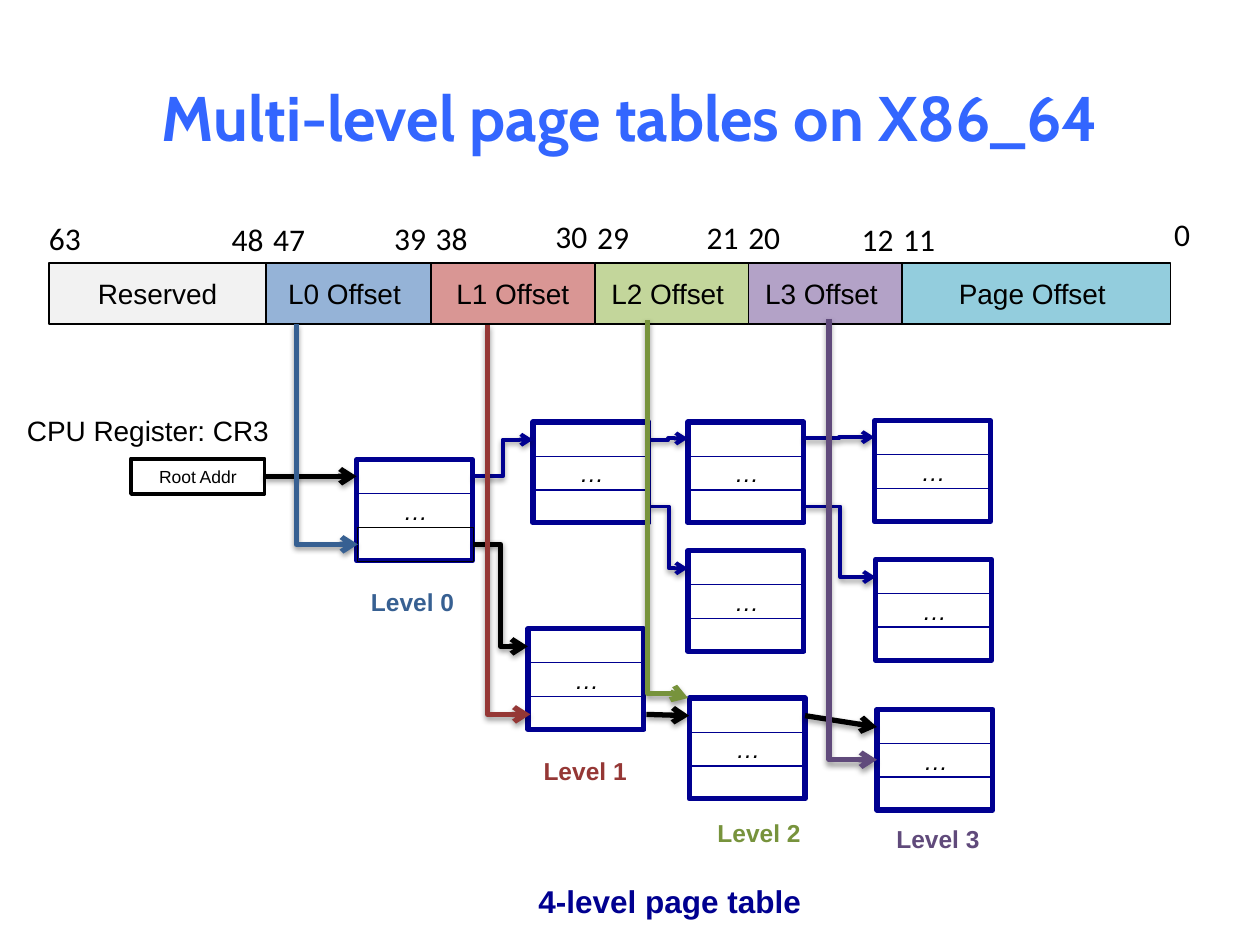
"""Draw the four-level page table slide, with lengths in px at 100 px to the inch."""
from dataclasses import dataclass
from itertools import accumulate

from lxml.etree import SubElement as Sub
from pptx import Presentation
from pptx.dml.color import RGBColor as Color
from pptx.enum.shapes import MSO_CONNECTOR as Kind, MSO_SHAPE as Form
from pptx.enum.text import MSO_ANCHOR as Anchor, PP_ALIGN as Align
from pptx.oxml.ns import qn
from pptx.util import Pt

SCALE = 9144
BLACK = Color(0x00, 0x00, 0x00)
NAVY = Color(0x00, 0x00, 0x90)
TITLE = Color(0x33, 0x66, 0xFF)
BLUE = Color(0x37, 0x60, 0x92)
RED = Color(0x95, 0x37, 0x35)
GREEN = Color(0x77, 0x93, 0x3C)
PURPLE = Color(0x60, 0x4A, 0x7B)
GREY_FILL = Color(0xF2, 0xF2, 0xF2)
BLUE_FILL = Color(0x95, 0xB3, 0xD7)
RED_FILL = Color(0xD9, 0x96, 0x94)
GREEN_FILL = Color(0xC3, 0xD6, 0x9B)
PURPLE_FILL = Color(0xB3, 0xA2, 0xC7)
TEAL_FILL = Color(0x93, 0xCD, 0xDD)


@dataclass(frozen=True)
class Font:
    size: int
    color: Color = BLACK
    name: str = "Arial"
    bold: bool = False
    slant: bool = False


@dataclass(frozen=True)
class Label:
    text: str
    x: int
    y: int
    w: int
    h: int
    font: Font
    align: Align = Align.CENTER
    wrap: bool = False
    anchor: Anchor = Anchor.TOP


@dataclass(frozen=True)
class Field:
    text: str
    width: int
    fill: Color


@dataclass(frozen=True)
class Table:
    x: int
    y: int
    last: Color = NAVY


@dataclass(frozen=True)
class Link:
    x1: int
    y1: int
    x2: int
    y2: int
    color: Color = BLACK
    width: float = 3
    kind: Kind = Kind.ELBOW


@dataclass(frozen=True)
class Drop:
    x1: int
    y1: int
    x2: int
    y2: int
    color: Color
    bend: int = 0


BIT = Font(18, name="Calibri")
DOTS = Font(14, slant=True)
BITS = [("63", 29, 169), ("0", 922, 166), ("48", 174, 170), ("47", 207, 170),
        ("39", 303, 169), ("38", 336, 169), ("30", 431, 167), ("29", 464, 168),
        ("21", 551, 168), ("20", 584, 168), ("12", 674, 170), ("11", 707, 170)]
LEVELS = [(284, 461, BLUE), (421, 595, RED), (559, 644, GREEN), (701, 649, PURPLE)]
LABELS = [
    Label("Multi-level page tables on X86_64", 50, 30, 900, 125,
          Font(36, TITLE, "Cabin", True), wrap=True, anchor=Anchor.MIDDLE),
    Label("CPU Register: CR3", 10, 323, 215, 37, Font(16)),
    Label("4-level page table", 416, 695, 231, 40, Font(18, NAVY, bold=True)),
    *(Label(text, x, y, 51, 40, BIT, Align.LEFT, True) for text, x, y in BITS),
    *(Label(f"Level {i}", x, y, 87, 34, Font(14, color, bold=True))
      for i, (x, y, color) in enumerate(LEVELS)),
]
FIELDS = [Field("Reserved", 172, GREY_FILL), Field("L0 Offset ", 131, BLUE_FILL),
          Field("L1 Offset", 130, RED_FILL), Field("L2 Offset ", 122, GREEN_FILL),
          Field("L3 Offset ", 122, PURPLE_FILL), Field("Page Offset ", 213, TEAL_FILL)]
TABLES = [Table(283, 365, BLACK), Table(423, 335), Table(419, 499), Table(546, 335),
          Table(546, 437), Table(547, 554), Table(694, 334), Table(695, 444),
          Table(696, 563)]
LINKS = [
    Link(375, 378, 423, 349, NAVY, 2.25), Link(376, 432, 419, 513),
    Link(515, 349, 546, 348, NAVY, 2.25), Link(516, 402, 546, 451, NAVY, 2.25),
    Link(638, 348, 694, 347, NAVY, 2.25), Link(639, 402, 695, 458, NAVY, 2.25),
    Link(513, 567, 547, 568, kind=Kind.STRAIGHT),
    Link(639, 568, 696, 577, kind=Kind.STRAIGHT),
    Link(210, 378, 283, 378, kind=Kind.STRAIGHT),
]
DROPS = [Drop(235, 257, 284, 432, BLUE), Drop(387, 258, 421, 567, RED),
         Drop(514, 254, 546, 554, GREEN, 98800), Drop(658, 253, 696, 603, PURPLE)]


def px(*sizes: float) -> list[int]:
    return [round(size * SCALE) for size in sizes]


def write(frame, text: str, font: Font, align: Align = Align.CENTER) -> None:
    frame.text = text
    para = frame.paragraphs[0]
    para.alignment = align
    face = para.runs[0].font
    face.size, face.name = Pt(font.size), font.name
    face.bold, face.italic = font.bold, font.slant
    face.color.rgb = font.color


def put_label(shapes, label: Label) -> None:
    frame = shapes.add_textbox(*px(label.x, label.y, label.w, label.h)).text_frame
    frame.word_wrap = label.wrap
    frame.vertical_anchor = label.anchor
    write(frame, label.text, label.font, label.align)


def put_box(shapes, x: float, y: float, w: int, h: int, line: Color, width: float,
            fill: Color | None = None, text: str = "", font: Font = DOTS) -> None:
    box = shapes.add_shape(Form.RECTANGLE, *px(x, y, w, h))
    box.shadow.inherit = False
    box.line.color.rgb, box.line.width = line, Pt(width)
    if fill is None:
        box.fill.background()
    else:
        box.fill.solid()
        box.fill.fore_color.rgb = fill
    if text:
        box.text_frame.vertical_anchor = Anchor.MIDDLE
        write(box.text_frame, text, font)


def put_table(shapes, table: Table) -> None:
    x, y = table.x, table.y
    put_box(shapes, x, y, 92, 80, NAVY, 3)
    put_box(shapes, x, y, 92, 27, NAVY, 0.5)
    put_box(shapes, x + 1, y + 27, 92, 27, NAVY, 0.5, text="…")
    put_box(shapes, x + 1, y + 53.5, 92, 27, table.last, 0.5)


def put_link(shapes, link: Link):
    wire = shapes.add_connector(link.kind, *px(link.x1, link.y1, link.x2, link.y2))
    wire.line.color.rgb, wire.line.width = link.color, Pt(link.width)
    props = wire._element.spPr
    Sub(props.find(qn("a:ln")), qn("a:tailEnd"), type="arrow")
    shade = Sub(Sub(props, qn("a:effectLst")), qn("a:outerShdw"), blurRad="40000",
                dist="20000", dir="5400000", rotWithShape="0")
    Sub(Sub(shade, qn("a:srgbClr"), val="000000"), qn("a:alpha"), val="38000")
    return props


def put_drop(shapes, drop: Drop) -> None:
    mid_x, mid_y = (drop.x1 + drop.x2) / 2, (drop.y1 + drop.y2) / 2
    half_w, half_h = (drop.y2 - drop.y1) / 2, (drop.x2 - drop.x1) / 2
    props = put_link(shapes, Link(mid_x + half_w, mid_y - half_h, mid_x - half_w,
                                  mid_y + half_h, drop.color))
    props.find(qn("a:xfrm")).set("rot", "16200000")
    shape = props.find(qn("a:prstGeom"))
    if drop.bend:
        Sub(shape.find(qn("a:avLst")), qn("a:gd"), name="adj1", fmla=f"val {drop.bend}")
    else:
        shape.set("prst", "bentConnector2")


def main() -> None:
    deck = Presentation()
    deck.slide_width, deck.slide_height = px(1000, 750)
    shapes = deck.slides.add_slide(deck.slide_layouts[6]).shapes
    for table in TABLES:
        put_table(shapes, table)
    starts = accumulate((field.width for field in FIELDS), initial=39)
    for x, field in zip(starts, FIELDS):
        put_box(shapes, x, 209, field.width, 48, BLACK, 1, field.fill, field.text, Font(16))
    put_box(shapes, 104, 364, 106, 28, BLACK, 2.25, text="Root Addr", font=Font(10))
    for label in LABELS:
        put_label(shapes, label)
    for link in LINKS:
        put_link(shapes, link)
    for drop in DROPS:
        put_drop(shapes, drop)
    deck.save("out.pptx")


if __name__ == "__main__":
    main()
